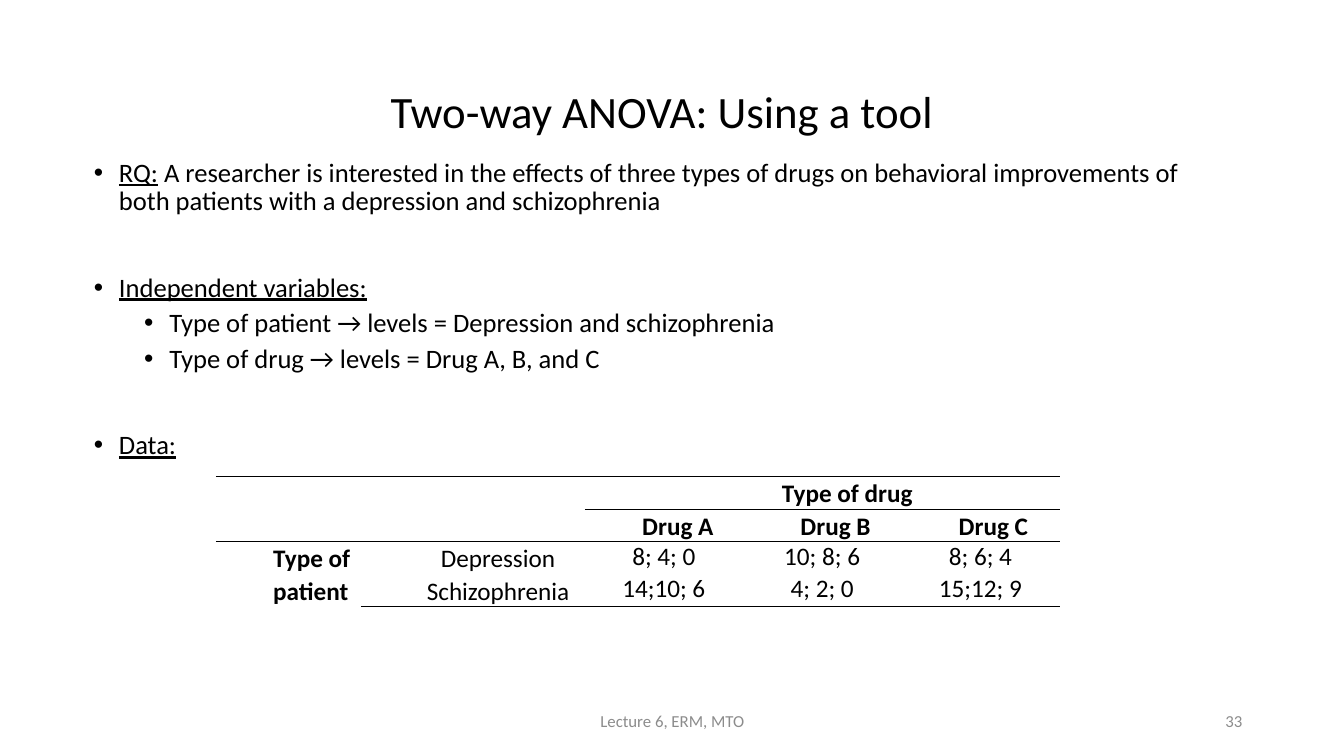
import pptx
import pptx.util
import pptx.dml.color
import pptx.enum.text
import pptx.oxml
import pptx.oxml.ns

Inches, Pt = pptx.util.Inches, pptx.util.Pt
ALIGN, ANCHOR = pptx.enum.text.PP_ALIGN, pptx.enum.text.MSO_ANCHOR
COLORS = {"text": "000000", "footer": "8C8C8C", "rule": "000000"}
FONT = "Calibri"
NO_STYLE = "{2D5ABB26-0587-4C30-8999-92F81FD0307C}"

# (level, space before in points, underlined text, plain text)
BULLETS = [
    (0, 10, "RQ:", " A researcher is interested in the effects of three types of drugs on "
                   "behavioral improvements of both patients with a depression and schizophrenia"),
    (0, 41, "Independent variables:", ""),
    (1, 5, "", "Type of patient → levels = Depression and schizophrenia"),
    (1, 5, "", "Type of drug → levels = Drug A, B, and C"),
    (0, 41, "Data:", ""),
]
TABLE = [
    ["", "", "Type of drug", "", ""],
    ["", "", "Drug A", "Drug B", "Drug C"],
    ["Type of patient", "Depression", "8; 4; 0", "10; 8; 6", "8; 6; 4"],
    ["", "Schizophrenia", "14;10; 6", "4; 2; 0", "15;12; 9"],
]
COL_WIDTHS = [1.44, 2.22, 1.57, 1.57, 1.57]
ROW_HEIGHT = 0.32


def place(sp, box):
    sp.left, sp.top, sp.width, sp.height = (Inches(v) for v in box)


def style(p, size, color="text", bold=False, align=ALIGN.LEFT):
    p.font.name, p.font.size, p.font.bold = FONT, Pt(size), bold
    p.font.color.rgb = pptx.dml.color.RGBColor.from_string(COLORS[color])
    p.alignment = align


def indent(p, left, first=0, bullet=None):
    """Set the left margin and first-line indent in inches, with an optional bullet."""
    pPr = p._p.get_or_add_pPr()
    pPr.set("marL", str(Inches(left)))
    pPr.set("indent", str(Inches(first)))
    if bullet:
        ns = pptx.oxml.ns.nsdecls("a")
        for xml in (f'<a:buFont {ns} typeface="Arial"/>', f'<a:buChar {ns} char="{bullet}"/>'):
            pPr.insert_element_before(pptx.oxml.parse_xml(xml), "a:tabLst", "a:defRPr", "a:extLst")


def add_title(slide, box):
    sp = slide.shapes.title
    place(sp, box)
    tf = sp.text_frame
    tf.text = "Two-way ANOVA: Using a tool"
    tf.vertical_anchor = ANCHOR.MIDDLE
    tf.auto_size = pptx.enum.text.MSO_AUTO_SIZE.NONE
    p = tf.paragraphs[0]
    style(p, 32, align=ALIGN.CENTER)
    p.line_spacing = 0.9


def add_bullets(slide, box):
    sp = slide.placeholders[1]
    place(sp, box)
    tf = sp.text_frame
    tf.auto_size = pptx.enum.text.MSO_AUTO_SIZE.NONE
    for i, (level, before, heading, text) in enumerate(BULLETS):
        p = tf.add_paragraph() if i else tf.paragraphs[0]
        p.level = level
        style(p, 19)
        p.line_spacing, p.space_before = 0.9, Pt(before)
        indent(p, 0.25 + 0.5 * level, -0.25, "•")
        for part, underline in ((heading, True), (text, False)):
            if part:
                r = p.add_run()
                r.text, r.font.underline = part, underline


def add_rule(cell, side):
    """Draw a border on one side of a cell: lnT for top, lnB for bottom."""
    cell._tc.get_or_add_tcPr().append(pptx.oxml.parse_xml(
        f'<a:{side} {pptx.oxml.ns.nsdecls("a")} w="{Pt(1)}"><a:solidFill>'
        f'<a:srgbClr val="{COLORS["rule"]}"/></a:solidFill></a:{side}>'))


def fill_cell(cell, row, col, text):
    cell.margin_left = cell.margin_right = Inches(0.07)
    cell.margin_top = cell.margin_bottom = 0
    is_label = row < 2 or col < 2
    is_bold = row < 2 or col == 0
    is_left = row == 1 or col == 0
    cell.vertical_anchor = ANCHOR.MIDDLE if is_left else ANCHOR.TOP
    cell.text = text
    p = cell.text_frame.paragraphs[0]
    style(p, 18, bold=is_bold, align=ALIGN.LEFT if is_left else ALIGN.CENTER)
    if is_label and text:
        indent(p, 0.5)
        p.line_spacing = 1.07
    if row == 0:
        add_rule(cell, "lnT")
    if row in (1, 3) or (row == 0 and col >= 2):
        add_rule(cell, "lnB")
    cell.fill.background()


def add_data_table(slide, left, top):
    frame = slide.shapes.add_table(
        len(TABLE), len(COL_WIDTHS), Inches(left), Inches(top),
        Inches(sum(COL_WIDTHS)), Inches(ROW_HEIGHT * len(TABLE)))
    table = frame.table
    table.first_row = table.horz_banding = False
    table._tbl.tblPr.find(pptx.oxml.ns.qn("a:tableStyleId")).text = NO_STYLE
    for column, width in zip(table.columns, COL_WIDTHS):
        column.width = Inches(width)
    for i, texts in enumerate(TABLE):
        table.rows[i].height = Inches(ROW_HEIGHT)
        for j, text in enumerate(texts):
            fill_cell(table.cell(i, j), i, j, text)
    table.cell(0, 2).merge(table.cell(0, 4))
    table.cell(2, 0).merge(table.cell(3, 0))


def add_footer(slide, box, text, align):
    tf = slide.shapes.add_textbox(*(Inches(v) for v in box)).text_frame
    tf.word_wrap = True
    tf.vertical_anchor = ANCHOR.MIDDLE
    tf.text = text
    style(tf.paragraphs[0], 12, "footer", align=align)


def main():
    prs = pptx.Presentation()
    prs.slide_width, prs.slide_height = Inches(13.33), Inches(7.5)
    slide = prs.slides.add_slide(prs.slide_layouts[1])
    add_bullets(slide, (0.83, 1.53, 11, 5.07))
    add_title(slide, (0.71, 0.72, 11.71, 0.83))
    add_footer(slide, (4.42, 6.95, 4.5, 0.4), "Lecture 6, ERM, MTO", ALIGN.CENTER)
    add_footer(slide, (9.42, 6.95, 3, 0.4), "33", ALIGN.RIGHT)
    add_data_table(slide, 2.14, 4.73)
    prs.save("out.pptx")


if __name__ == "__main__":
    main()
